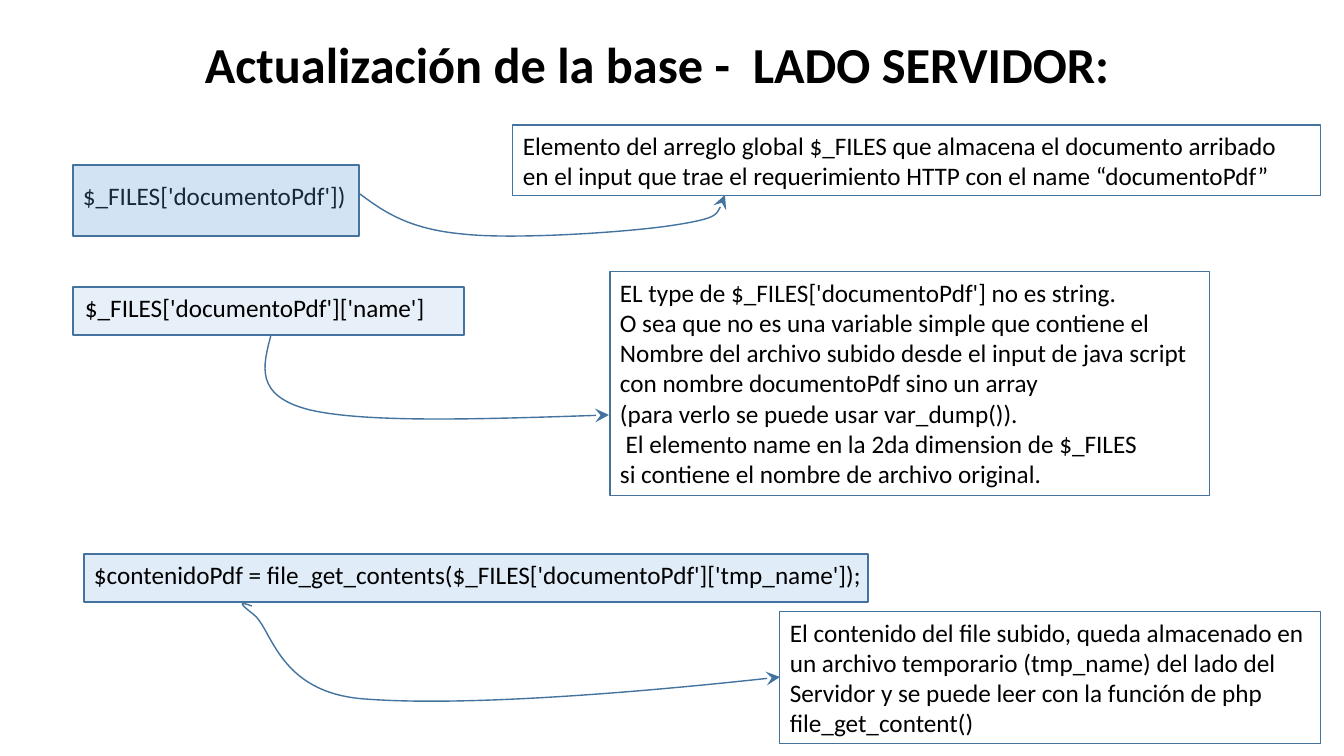
"""Builds the slide on server-side handling of an uploaded document."""
from typing import NamedTuple

from lxml import etree
from pptx import Presentation, util as u
from pptx.dml.color import RGBColor
from pptx.enum import shapes, text
from pptx.oxml.ns import qn

SCALE = 914400 / 100.8
FONT = "Calibri"
BLACK, BLUE, OUTLINE = "000000", "5B9BD5", "43739E"


class Box(NamedTuple):
    left: int
    top: int
    width: int
    height: int


class Label(NamedTuple):
    box: Box
    wording: str
    size: int = 18
    bold: bool = False
    outlined: bool = False


class Highlight(NamedTuple):
    box: Box
    opacity: int


class Curve(NamedTuple):
    start: tuple[int, int]
    controls: list[tuple[int, int]]


CODE_HIGHLIGHTS = [
    Highlight(Box(73, 287, 391, 48), 14),
    Highlight(Box(84, 554, 784, 48), 19),
]
DOCUMENT_HIGHLIGHT = Highlight(Box(73, 165, 286, 71), 27)

LABELS = [
    Label(Box(195, 28, 935, 71), "Actualización de la base -  LADO SERVIDOR:", 36, bold=True),
    Label(Box(73, 175, 286, 40), "$_FILES['documentoPdf'])"),
    Label(Box(75, 287, 371, 40), "$_FILES['documentoPdf']['name']"),
    Label(Box(513, 125, 808, 71),
          "Elemento del arreglo global $_FILES que almacena el documento arribado\v"
          "en el input que trae el requerimiento HTTP con el name “documentoPdf” ",
          outlined=True),
    Label(Box(610, 272, 600, 224),
          "EL type de $_FILES['documentoPdf'] no es string.\n"
          "O sea que no es una variable simple que contiene el \n"
          "Nombre del archivo subido desde el input de java script \n"
          "con nombre documentoPdf sino un array \n"
          "(para verlo se puede usar var_dump()).\n"
          " El elemento name en la 2da dimension de $_FILES \n"
          "si contiene el nombre de archivo original.",
          outlined=True),
    Label(Box(84, 554, 796, 40),
          "$contenidoPdf = file_get_contents($_FILES['documentoPdf']['tmp_name']);"),
    Label(Box(780, 612, 541, 132),
          "El contenido del file subido, queda almacenado en\v"
          "un archivo temporario (tmp_name) del lado del \n"
          "Servidor y se puede leer con la función de php \v"
          "file_get_content() ",
          outlined=True),
]

CURVES = [
    Curve((360, 194), [(384, 212), (409, 229), (462, 234),
                       (514, 240), (632, 232), (675, 225),
                       (720, 218), (722, 207), (725, 195)]),
    Curve((271, 335), [(263, 366), (254, 396), (310, 410),
                       (367, 423), (488, 419), (609, 415)]),
    Curve((252, 606), [(243, 603), (235, 600), (253, 614),
                       (272, 627), (277, 693), (365, 699),
                       (454, 706), (618, 695), (780, 677)]),
]


def emu(pixels: int) -> int:
    """Convert pixels to EMU."""
    return round(pixels * SCALE)


def color(value: str) -> RGBColor:
    """Convert a hex string to a colour."""
    return RGBColor.from_string(value)


def set_outline(shape, width: float) -> None:
    """Give a shape the common outline colour."""
    shape.line.color.rgb = color(OUTLINE)
    shape.line.width = u.Pt(width)


def draw_highlight(slide, highlight: Highlight) -> None:
    """Draw a translucent rectangle."""
    shape = slide.shapes.add_shape(shapes.MSO_SHAPE.RECTANGLE, *map(emu, highlight.box))
    shape.shadow.inherit = False
    shape.fill.solid()
    shape.fill.fore_color.rgb = color(BLUE)
    fill_color = shape.fill._xPr.find(".//" + qn("a:srgbClr"))
    etree.SubElement(fill_color, qn("a:alpha"), val=str(highlight.opacity * 1000))
    set_outline(shape, 1)


def draw_label(slide, label: Label) -> None:
    """Draw a text box, outlined if it is an explanation."""
    shape = slide.shapes.add_textbox(*map(emu, label.box))
    frame = shape.text_frame
    frame.word_wrap = False
    frame.auto_size = text.MSO_AUTO_SIZE.SHAPE_TO_FIT_TEXT
    frame.text = label.wording
    for paragraph in frame.paragraphs:
        font = paragraph.font
        font.name, font.size, font.bold = FONT, u.Pt(label.size), label.bold
        font.color.rgb = color(BLACK)
    if label.outlined:
        set_outline(shape, 0.75)


def draw_curve(slide, curve: Curve) -> None:
    """Draw a chain of cubic curves that ends in an arrowhead."""
    builder = slide.shapes.build_freeform(*curve.start, scale=SCALE)
    builder.add_line_segments(curve.controls, close=False)
    shape = builder.convert_to_shape()
    shape.shadow.inherit = False
    shape.fill.background()
    set_outline(shape, 1)
    etree.SubElement(shape.line._get_or_add_ln(), qn("a:tailEnd"),
                     type="stealth", w="lg", len="lg")
    segments = list(shape._element.iter(qn("a:lnTo")))
    outline = segments[0].getparent()
    for first in range(0, len(segments), 3):
        bezier = etree.SubElement(outline, qn("a:cubicBezTo"))
        for segment in segments[first:first + 3]:
            bezier.append(segment[0])
            outline.remove(segment)


def main() -> None:
    """Build and save the presentation."""
    presentation = Presentation()
    presentation.slide_width, presentation.slide_height = emu(1344), emu(756)
    slide = presentation.slides.add_slide(presentation.slide_layouts[6])
    for highlight in CODE_HIGHLIGHTS:
        draw_highlight(slide, highlight)
    for label in LABELS:
        draw_label(slide, label)
    for curve in CURVES:
        draw_curve(slide, curve)
    draw_highlight(slide, DOCUMENT_HIGHLIGHT)
    presentation.save("out.pptx")


main()
